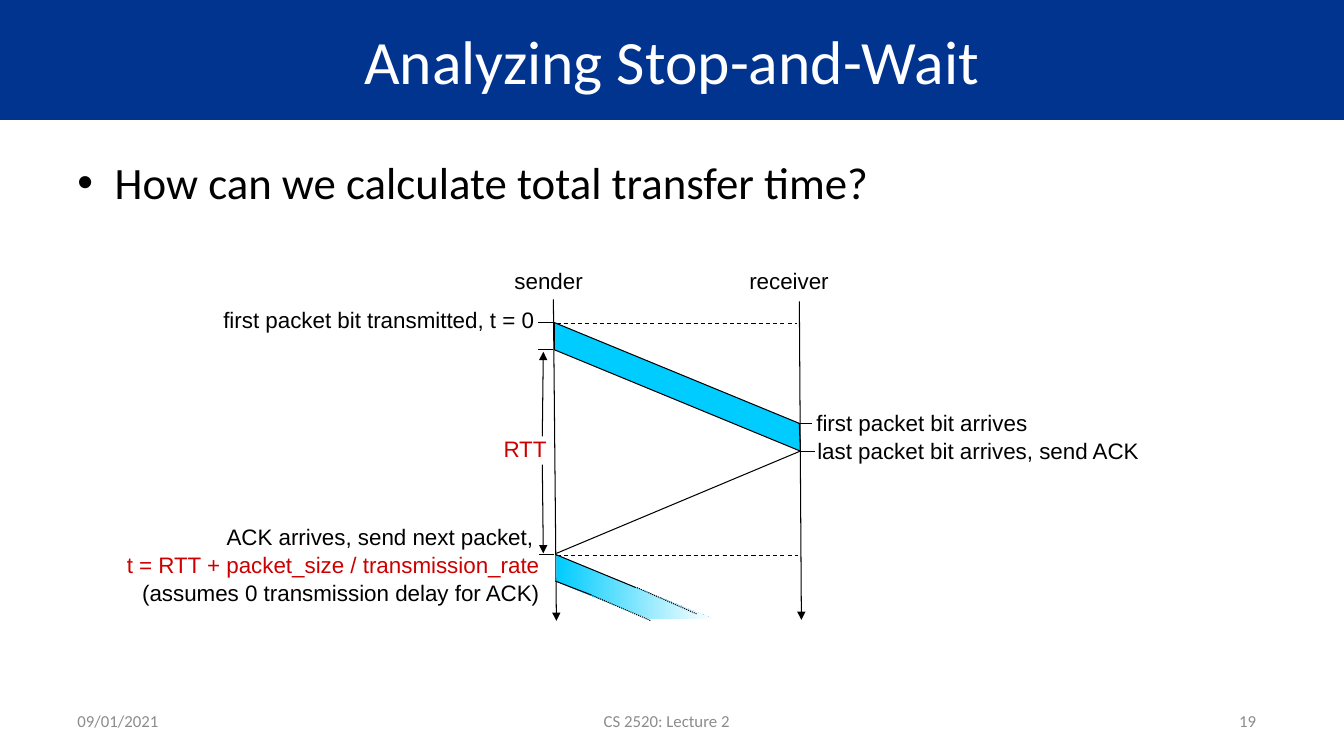
from dataclasses import dataclass
from typing import NamedTuple

from lxml import etree
from pptx import Presentation
from pptx import util as u
from pptx.dml.color import RGBColor
from pptx.enum import dml, shapes, text
from pptx.oxml import ns

# The grid has cells of a tenth of an inch: x in columns, y in rows
CELL = u.Inches(0.1)
COLS, ROWS = 133.33, 75
LEFT, CENTER, RIGHT = text.PP_ALIGN.LEFT, text.PP_ALIGN.CENTER, text.PP_ALIGN.RIGHT
TOP, MIDDLE = text.MSO_ANCHOR.TOP, text.MSO_ANCHOR.MIDDLE


@dataclass(frozen=True)
class Theme:
    heading: str = "Calibri"
    label: str = "Arial"
    title_size: int = 44
    body_size: int = 32
    label_size: int = 16
    footer_size: int = 12
    navy: str = "00348F"
    white: str = "FFFFFF"
    black: str = "000000"
    gray: str = "8C8C8C"
    red: str = "CC0000"
    cyan: str = "00CCFF"
    line_width: float = 0.75


class Box(NamedTuple):
    x: float
    y: float
    w: float
    h: float


class Label(NamedTuple):
    box: Box
    lines: list[str]
    align: text.PP_ALIGN
    color: str
    filled: bool = False


class Line(NamedTuple):
    x1: float
    y1: float
    x2: float
    y2: float
    dash: dml.MSO_LINE | None = None
    arrow: bool = False


THEME = Theme()
DASH, DOT = dml.MSO_LINE.DASH, dml.MSO_LINE.ROUND_DOT

# Timelines and the moments on them
SENDER, RECEIVER = 55, 79.4
FIRST_SENT, LAST_SENT = 32, 34.7
FIRST_ARRIVES, LAST_ARRIVES = 42, 44.75
ACK_ARRIVES, NEXT_SENT = 55, 57.65

PACKET = [(SENDER, FIRST_SENT), (79.3, FIRST_ARRIVES),
          (RECEIVER, LAST_ARRIVES), (SENDER, LAST_SENT)]
NEXT_PACKET = [(55.2, 55.1), (70.7, 61.4), (64.4, 61.4), (55.2, 57.7)]

BACK_LINES = [
    Line(54.9, 29.7, 55.2, 61.6, arrow=True),
    Line(79.3, 29.9, 79.5, 61.5, arrow=True),
    Line(55.2, 32.1, 79.1, 32.1, DASH),
    Line(55.2, 55.1, 79.2, 55.1, DASH),
    Line(55.2, ACK_ARRIVES - 0.1, RECEIVER, LAST_ARRIVES),
]
TICKS = [Line(x, y, x + 1.45, y) for x, y in (
    (53.4, FIRST_SENT), (53.4, LAST_SENT), (53.5, ACK_ARRIVES),
    (79.15, FIRST_ARRIVES), (RECEIVER, LAST_ARRIVES))]
RTT_ARROWS = [
    Line(53.8, 46.1, 53.9, 54.9, arrow=True),
    Line(53.8, 43.3, 53.9, 34.9, arrow=True),
]
NEXT_EDGES = [
    Line(55.1, ACK_ARRIVES, 63.1, 58.3),
    Line(63.2, 58.3, 69.1, 60.9, DOT),
    Line(55.1, NEXT_SENT, 58.6, 59),
    Line(58.6, 59, 64.6, 61.6, DOT),
]

HEADINGS = [
    Label(Box(18.7, 29.9, 35.3, 3.9), ["first packet bit transmitted, t = 0"],
          RIGHT, THEME.black, True),
    Label(Box(49.1, 26, 9.7, 3.8), ["sender"], RIGHT, THEME.black, True),
    Label(Box(72.9, 26, 10.3, 3.8), ["receiver"], RIGHT, THEME.black, True),
]
LABELS = [
    Label(Box(46.3, 42.7, 8.9, 3.7), ["RTT"], RIGHT, THEME.red),
    Label(Box(80, 40.1, 26.5, 3.9), ["first packet bit arrives"], LEFT, THEME.black),
    Label(Box(80.1, 42.9, 35, 3.9), ["last packet bit arrives, send ACK"],
          LEFT, THEME.black),
    Label(Box(2.3, 51.4, 52.2, 11.6),
          ["ACK arrives, send next packet, ",
           "t = RTT + packet_size / transmission_rate",
           "(assumes 0 transmission delay for ACK)"], RIGHT, THEME.black),
]
FOOTERS = [
    Label(Box(6.7, 69.5, 16.4, 4), ["09/01/2021"], LEFT, THEME.gray),
    Label(Box(20.5, 69.5, 91.3, 4), ["CS 2520: Lecture 2"], CENTER, THEME.gray),
    Label(Box(111.7, 69.5, 13.9, 4), ["19"], RIGHT, THEME.gray),
]


def grid(*values: float) -> list[int]:
    return [round(v * CELL) for v in values]


def rgb(color: str) -> RGBColor:
    return RGBColor.from_string(color)


def paint(s, color: str) -> None:
    s.fill.solid()
    s.fill.fore_color.rgb = rgb(color)


def style(p, align: text.PP_ALIGN, font: str, size: float, color: str) -> None:
    p.alignment = align
    for r in p.runs:
        r.font.name, r.font.size = font, u.Pt(size)
        r.font.color.rgb = rgb(color)


def add_label(s, label: Label, font: str, size: float, anchor=TOP):
    tb = s.shapes.add_textbox(*grid(*label.box))
    if label.filled:
        paint(tb, THEME.white)
    tf = tb.text_frame
    tf.word_wrap, tf.vertical_anchor = True, anchor
    tf.text = "\n".join(label.lines)
    for i, p in enumerate(tf.paragraphs):
        style(p, label.align, font, size, label.color)
        if i:
            p.space_before = u.Pt(1)
    return tf


def add_line(s, line: Line) -> None:
    ends = grid(line.x1, line.y1, line.x2, line.y2)
    c = s.shapes.add_connector(shapes.MSO_CONNECTOR.STRAIGHT, *ends)
    c.line.color.rgb = rgb(THEME.black)
    c.line.width = u.Pt(THEME.line_width)
    if line.dash:
        c.line.dash_style = line.dash
    if line.arrow:
        etree.SubElement(c.line._get_or_add_ln(), ns.qn("a:tailEnd"), type="triangle")
    etree.SubElement(c._element.spPr, ns.qn("a:effectLst"))


def add_band(s, points: list[tuple[float, float]]):
    start, *rest = [grid(*point) for point in points]
    builder = s.shapes.build_freeform(*start)
    builder.add_line_segments(rest, close=True)
    band = builder.convert_to_shape()
    band.shadow.inherit = False
    return band


def add_title(s) -> None:
    sp = s.shapes.title
    sp.left, sp.top, sp.width, sp.height = grid(0, 0, COLS, 11.9)
    paint(sp, THEME.navy)
    tf = sp.text_frame
    tf.text = "Analyzing Stop-and-Wait"
    tf.vertical_anchor, tf.auto_size = MIDDLE, text.MSO_AUTO_SIZE.NONE
    style(tf.paragraphs[0], CENTER, THEME.heading, THEME.title_size, THEME.white)


def add_question(s) -> None:
    label = Label(Box(6.7, 14.9, 120, 52.3),
                  ["How can we calculate total transfer time?"], LEFT, THEME.black)
    tf = add_label(s, label, THEME.heading, THEME.body_size)
    pPr = tf.paragraphs[0]._p.get_or_add_pPr()
    indent = u.Inches(0.37)
    pPr.set("marL", str(indent))
    pPr.set("indent", str(-indent))
    etree.SubElement(pPr, ns.qn("a:buFont"), typeface="Arial")
    etree.SubElement(pPr, ns.qn("a:buChar"), char="•")


def add_diagram(s) -> None:
    # Timelines and their headings
    for label in HEADINGS:
        add_label(s, label, THEME.label, THEME.label_size)
    for line in BACK_LINES:
        add_line(s, line)

    # First packet
    packet = add_band(s, PACKET)
    paint(packet, THEME.cyan)
    packet.line.color.rgb = rgb(THEME.black)
    packet.line.width = u.Pt(THEME.line_width)

    # Moments and round-trip time
    for line in TICKS + RTT_ARROWS:
        add_line(s, line)
    for label in LABELS:
        tf = add_label(s, label, THEME.label, THEME.label_size)
    tf.paragraphs[1].runs[0].font.color.rgb = rgb(THEME.red)

    # Next packet, fading out
    fade = add_band(s, NEXT_PACKET)
    fade.line.fill.background()
    fade.fill.gradient()
    fade.fill.gradient_angle = 0
    for stop, color in zip(fade.fill.gradient_stops, (THEME.cyan, THEME.white)):
        stop.color.rgb = rgb(color)
    for line in NEXT_EDGES:
        add_line(s, line)


def main() -> None:
    prs = Presentation()
    prs.slide_width, prs.slide_height = grid(COLS, ROWS)
    s = prs.slides.add_slide(prs.slide_layouts[5])
    add_title(s)
    add_question(s)
    for footer in FOOTERS:
        add_label(s, footer, THEME.heading, THEME.footer_size, MIDDLE)
    add_diagram(s)
    prs.save("out.pptx")


if __name__ == "__main__":
    main()
